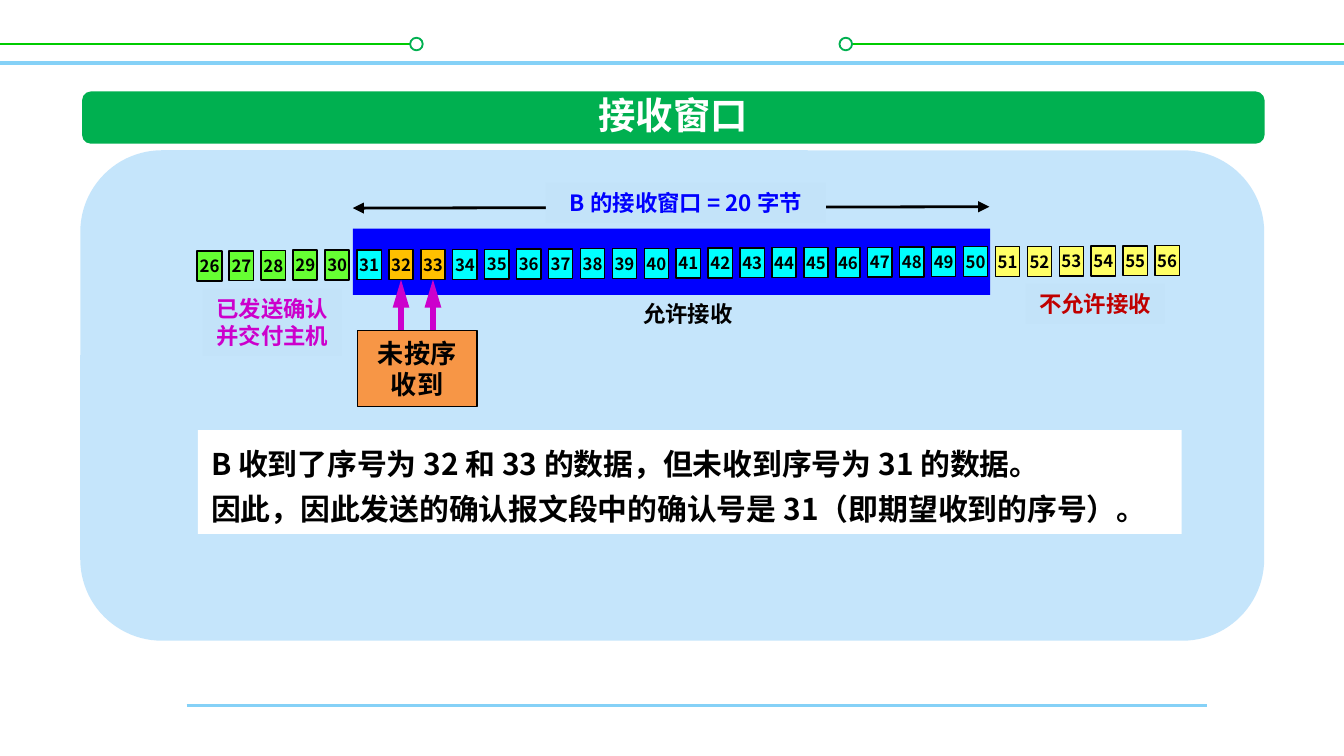
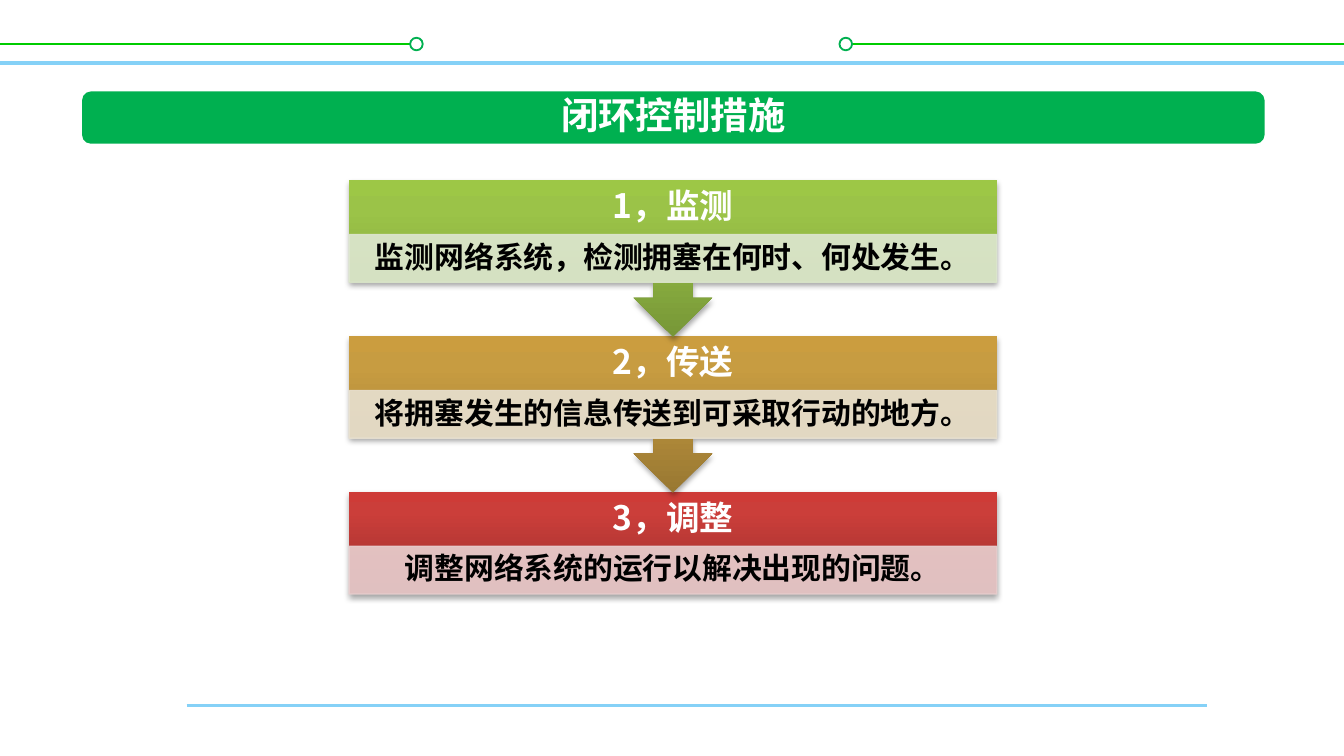
from copy import deepcopy
from dataclasses import dataclass
from typing import Optional

from lxml import etree
from pptx import Presentation
from pptx.dml.color import RGBColor
from pptx.enum.shapes import MSO_CONNECTOR, MSO_SHAPE
from pptx.enum.text import MSO_ANCHOR, MSO_AUTO_SIZE, PP_ALIGN
from pptx.oxml.ns import qn
from pptx.shapes.autoshape import Shape
from pptx.shapes.connector import Connector
from pptx.slide import Slide
from pptx.util import Pt

RECT = MSO_SHAPE.RECTANGLE
ROUND = MSO_SHAPE.ROUNDED_RECTANGLE
OVAL = MSO_SHAPE.OVAL
CALLOUT = MSO_SHAPE.UP_ARROW_CALLOUT
STRAIGHT = MSO_CONNECTOR.STRAIGHT
LEFT, CENTER = PP_ALIGN.LEFT, PP_ALIGN.CENTER
TOP, MIDDLE = MSO_ANCHOR.TOP, MSO_ANCHOR.MIDDLE
GROW = MSO_AUTO_SIZE.SHAPE_TO_FIT_TEXT

FONT = "Noto Sans CJK SC"
WIDTH, HEIGHT = 720, 405

BLACK = RGBColor(0x00, 0x00, 0x00)
WHITE = RGBColor(0xFF, 0xFF, 0xFF)
SKY = RGBColor(0x85, 0xD1, 0xF7)
LEAF = RGBColor(0x00, 0xCC, 0x00)
GREEN = RGBColor(0x00, 0xB0, 0x50)
PANEL = RGBColor(0xC5, 0xE5, 0xFB)
PALE = RGBColor(0xC3, 0xE3, 0xF9)
BLUE = RGBColor(0x00, 0x00, 0xFF)
RED = RGBColor(0xC0, 0x00, 0x00)
PURPLE = RGBColor(0xCC, 0x00, 0xCC)
ORANGE = RGBColor(0xF7, 0x96, 0x46)
LIME = RGBColor(0x66, 0xFF, 0x33)
CYAN = RGBColor(0x00, 0xFF, 0xFF)
GOLD = RGBColor(0xFF, 0xC0, 0x00)
YELLOW = RGBColor(0xFF, 0xFF, 0x66)


@dataclass(frozen=True)
class Box:
    left: float
    top: float
    width: float
    height: float

    @property
    def mid(self) -> float:
        return self.left + self.width / 2


@dataclass(frozen=True)
class Style:
    size: float
    color: RGBColor = BLACK
    align: PP_ALIGN = CENTER
    anchor: MSO_ANCHOR = TOP
    wrap: bool = False
    grow: bool = True
    spacing: Optional[float] = None
    inset: Optional[tuple[float, float]] = None


@dataclass(frozen=True)
class Label:
    text: str
    box: Box
    color: RGBColor
    fill: Optional[RGBColor] = PALE


@dataclass(frozen=True)
class Step:
    head: str
    body: str
    stops: tuple[tuple[float, str], ...]
    tint: RGBColor


BAR = Box(44, 49, 633.5, 28)
LABELS = [
    Label("不允许接收", Box(549.5, 152, 74.5, 21.5), RED),
    Label("已发送确认\n并交付主机", Box(108.75, 154.75, 74.5, 36), PURPLE),
    Label("B 的接收窗口 = 20 字节", Box(292.5, 98, 150, 21.5), BLUE),
    Label("允许接收", Box(337, 157.5, 63, 21.5), BLACK, None),
]
FIRST, LAST = 26, 56
EARLY = (32, 33)
CELL = Box(105.75, 134.4, 13, 16)
PITCH, RISE = 17.1, 0.09

STEPS = [
    Step("1，监测", "监测网络系统，检测拥塞在何时、何处发生。",
         ((0, "779737"), (0.8, "9BC348"), (1, "9DC746")), RGBColor(0xDE, 0xE7, 0xD1)),
    Step("2，传送", "将拥塞发生的信息传送到可采取行动的地方。",
         ((0, "997832"), (0.8, "C79C41"), (1, "CB9D3F")), RGBColor(0xE8, 0xE1, 0xD1)),
    Step("3，调整", "调整网络系统的运行以解决出现的问题。",
         ((0, "9C2F2D"), (0.8, "CB3E3A"), (1, "CE3B37")), RGBColor(0xE8, 0xD0, 0xD0)),
]
STEP_LEFT, STEP_TOP, STEP_WIDTH, STEP_PITCH = 187, 96.5, 347, 83.5
HEAD_HIGH, BODY_HIGH, CALL_HIGH, BASE_HIGH = 29.25, 25.5, 84, 54.75


def place(box: Box) -> tuple[Pt, Pt, Pt, Pt]:
    return Pt(box.left), Pt(box.top), Pt(box.width), Pt(box.height)


def add_shape(slide: Slide, kind: MSO_SHAPE, box: Box, fill: Optional[RGBColor] = None,
              line: Optional[RGBColor] = None, weight: float = 0.75) -> Shape:
    shape = slide.shapes.add_shape(kind, *place(box))
    shape.shadow.inherit = False
    if fill is None:
        shape.fill.background()
    else:
        shape.fill.solid()
        shape.fill.fore_color.rgb = fill
    if line is None:
        shape.line.fill.background()
    else:
        shape.line.color.rgb = line
        shape.line.width = Pt(weight)
    return shape


def write(shape: Shape, text: str, style: Style) -> None:
    frame = shape.text_frame
    frame.text = text
    frame.word_wrap = style.wrap
    frame.vertical_anchor = style.anchor
    if style.grow:
        frame.auto_size = GROW
    if style.inset:
        frame.margin_left = frame.margin_right = Pt(style.inset[0])
        frame.margin_top = frame.margin_bottom = Pt(style.inset[1])
    for para in frame.paragraphs:
        para.alignment = style.align
        if style.spacing:
            para.line_spacing = style.spacing
        font = para.font
        font.size = Pt(style.size)
        font.bold = True
        font.color.rgb = style.color
        font.name = FONT
        east = etree.SubElement(para._p.pPr.find(qn("a:defRPr")), qn("a:ea"))
        east.set("typeface", FONT)


def add_text(slide: Slide, text: str, box: Box, style: Style) -> None:
    write(slide.shapes.add_textbox(*place(box)), text, style)


def add_line(slide: Slide, start: tuple[float, float], end: tuple[float, float],
             color: RGBColor, weight: float) -> Connector:
    line = slide.shapes.add_connector(STRAIGHT, *(Pt(n) for n in start + end))
    line.line.color.rgb = color
    line.line.width = Pt(weight)
    etree.SubElement(line._element.spPr, qn("a:effectLst"))
    return line


def add_tip(line: Connector, *ends: str, length: str = "med") -> None:
    """Put arrowheads on the ends named headEnd or tailEnd, in that order."""
    for end in ends:
        tip = etree.SubElement(line.line._get_or_add_ln(), qn(f"a:{end}"))
        tip.set("type", "triangle")
        tip.set("len", length)


def fade(shape: Shape, alpha: int) -> None:
    """Set the opacity, in percent, of the fill and the line."""
    for color in shape._element.spPr.iter(qn("a:srgbClr")):
        etree.SubElement(color, qn("a:alpha")).set("val", str(alpha * 1000))


def shade(shape: Shape, stops: tuple[tuple[float, str], ...]) -> None:
    """Fill upwards with a gradient that does not turn with the shape."""
    shape.fill.gradient()
    shape.fill.gradient_angle = 90
    grad = shape._element.spPr.find(qn("a:gradFill"))
    grad.set("rotWithShape", "0")
    marks = grad.find(qn("a:gsLst"))
    while len(marks) < len(stops):
        marks.append(deepcopy(marks[-1]))
    for mark, (place_at, code) in zip(shape.fill.gradient_stops, stops):
        mark.position = place_at
        mark.color.rgb = RGBColor.from_string(code)


def drop_shadow(shape: Shape) -> None:
    effects = shape._element.spPr.find(qn("a:effectLst"))
    outer = etree.SubElement(effects, qn("a:outerShdw"), blurRad=str(Pt(3.1)),
                             dist=str(Pt(1.8)), dir="5400000", rotWithShape="0")
    color = etree.SubElement(outer, qn("a:srgbClr"), val="000000")
    etree.SubElement(color, qn("a:alpha"), val="35000")


def add_frame(slide: Slide) -> None:
    """Draw the rules and rings that every slide has."""
    add_line(slide, (100, 378), (646.5, 378), SKY, 1.5)
    add_line(slide, (0, 33.75), (WIDTH, 33.75), SKY, 2)
    for start, end, ring in ((0, 223, 219.75), (450, WIDTH, 449.75)):
        add_line(slide, (start, 23.75), (end, 23.75), LEAF, 1)
        add_shape(slide, OVAL, Box(ring, 20.25, 6.75, 6.75), WHITE, GREEN, 1)


def add_title(slide: Slide, text: str) -> None:
    bar = add_shape(slide, ROUND, BAR, GREEN)
    bar.adjustments[0] = 0.17
    width = 20 * len(text) + 14.4
    add_text(slide, text, Box(BAR.mid - width / 2, 46, width, 31.5), Style(20, WHITE))


def cell_fill(number: int) -> RGBColor:
    if number in EARLY:
        return GOLD
    if number <= 30:
        return LIME
    return CYAN if number <= 50 else YELLOW


def add_cells(slide: Slide) -> dict[int, Shape]:
    cells = {}
    style = Style(9, anchor=MIDDLE, grow=False)
    for i, number in enumerate(range(FIRST, LAST + 1)):
        box = Box(CELL.left + PITCH * i, CELL.top - RISE * i, CELL.width, CELL.height)
        weight = 1 if number <= 30 else 0.75
        cells[number] = add_shape(slide, RECT, box, cell_fill(number), BLACK, weight)
        write(cells[number], str(number), style)
    return cells


def build_window(slide: Slide) -> None:
    add_frame(slide)
    add_shape(slide, ROUND, Box(43, 80.5, 634.25, 262.75), PANEL)
    span = add_line(slide, (189, 111.5), (530, 110.75), BLACK, 1.5)
    add_tip(span, "headEnd", "tailEnd")
    for label in LABELS:
        style = Style(12, label.color)
        if label.fill is None:
            add_text(slide, label.text, label.box, style)
        else:
            write(add_shape(slide, RECT, label.box, label.fill), label.text, style)
    add_shape(slide, RECT, Box(189, 122.5, 341.5, 35.5), BLUE)
    cells = add_cells(slide)
    for number in EARLY:
        x = CELL.mid + PITCH * (number - FIRST)
        arrow = add_line(slide, (x, 190), (x, 150), PURPLE, 3)
        arrow.end_connect(cells[number], 2)
        add_tip(arrow, "tailEnd", length="lg")
    early = add_shape(slide, RECT, Box(191.5, 177, 64, 41), ORANGE, BLACK)
    write(early, "未按序收到", Style(14, wrap=True))
    add_title(slide, "接收窗口")
    note = add_shape(slide, RECT, Box(106, 230.5, 527, 55.5), WHITE)
    write(note, "B 收到了序号为 32 和 33 的数据，但未收到序号为 31 的数据。\n"
                "因此，因此发送的确认报文段中的确认号是 31（即期望收到的序号）。",
          Style(16, align=LEFT, wrap=True, spacing=Pt(24)))


def add_step(slide: Slide, step: Step, top: float, last: bool) -> None:
    kind, high = (RECT, BASE_HIGH) if last else (CALLOUT, CALL_HIGH)
    block = add_shape(slide, kind, Box(STEP_LEFT, top, STEP_WIDTH, high))
    if not last:
        block.rotation = 180
    shade(block, step.stops)
    drop_shadow(block)
    add_text(slide, step.head, Box(STEP_LEFT, top, STEP_WIDTH, HEAD_HIGH),
             Style(18, WHITE, anchor=MIDDLE, wrap=True, grow=False,
                   spacing=0.9, inset=(10, 10)))
    strip = Box(STEP_LEFT, top + HEAD_HIGH, STEP_WIDTH, BODY_HIGH)
    fade(add_shape(slide, RECT, strip, step.tint, step.tint), 90)
    add_text(slide, step.body, strip,
             Style(16, anchor=MIDDLE, wrap=True, grow=False,
                   spacing=0.9, inset=(8.5, 1.5)))


def build_steps(slide: Slide) -> None:
    add_frame(slide)
    add_title(slide, "闭环控制措施")
    end = len(STEPS) - 1
    for i in range(end, -1, -1):
        add_step(slide, STEPS[i], STEP_TOP + STEP_PITCH * i, i == end)


def main() -> None:
    deck = Presentation()
    deck.slide_width, deck.slide_height = Pt(WIDTH), Pt(HEIGHT)
    for build in (build_window, build_steps):
        build(deck.slides.add_slide(deck.slide_layouts[6]))
    deck.save("out.pptx")


if __name__ == "__main__":
    main()
